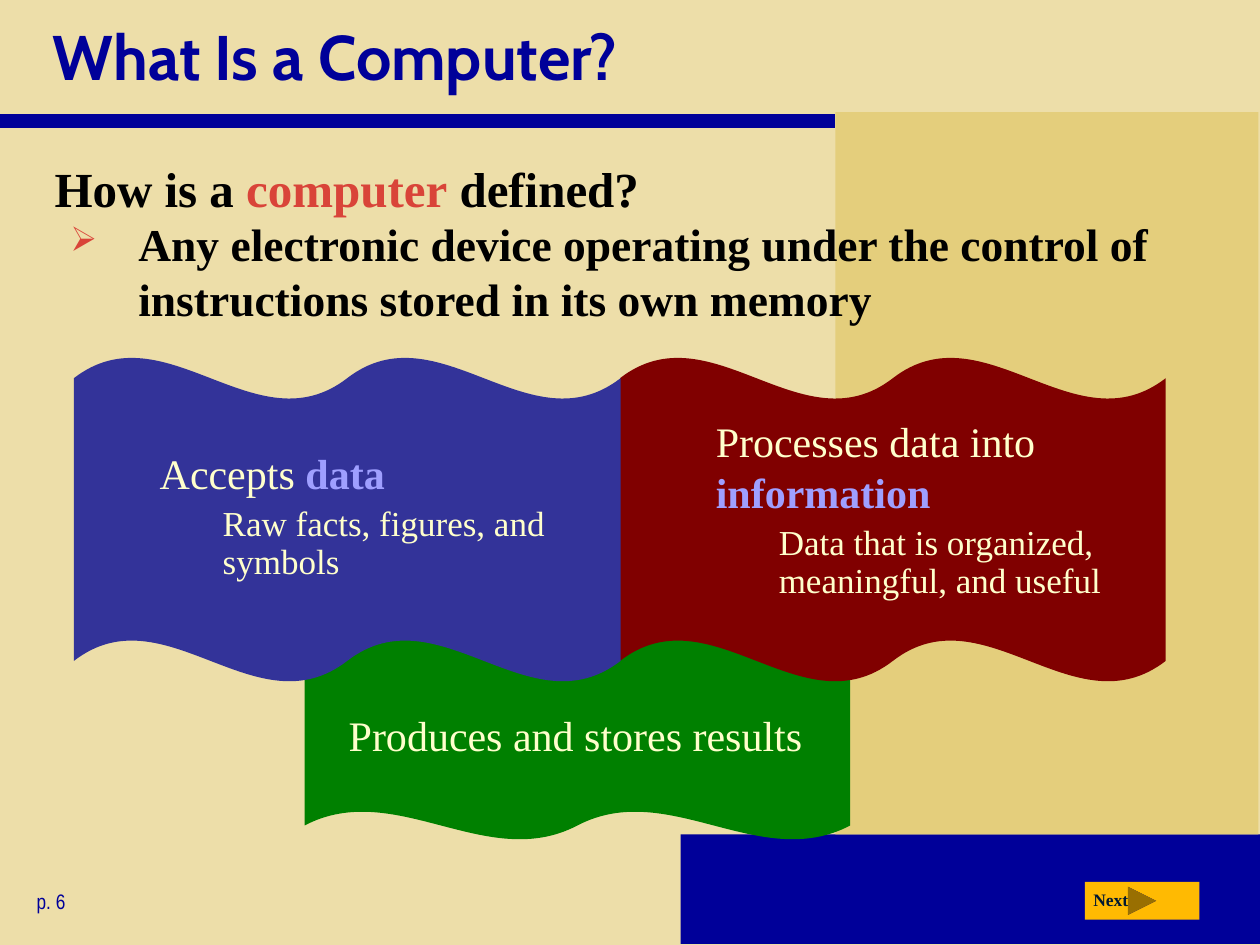
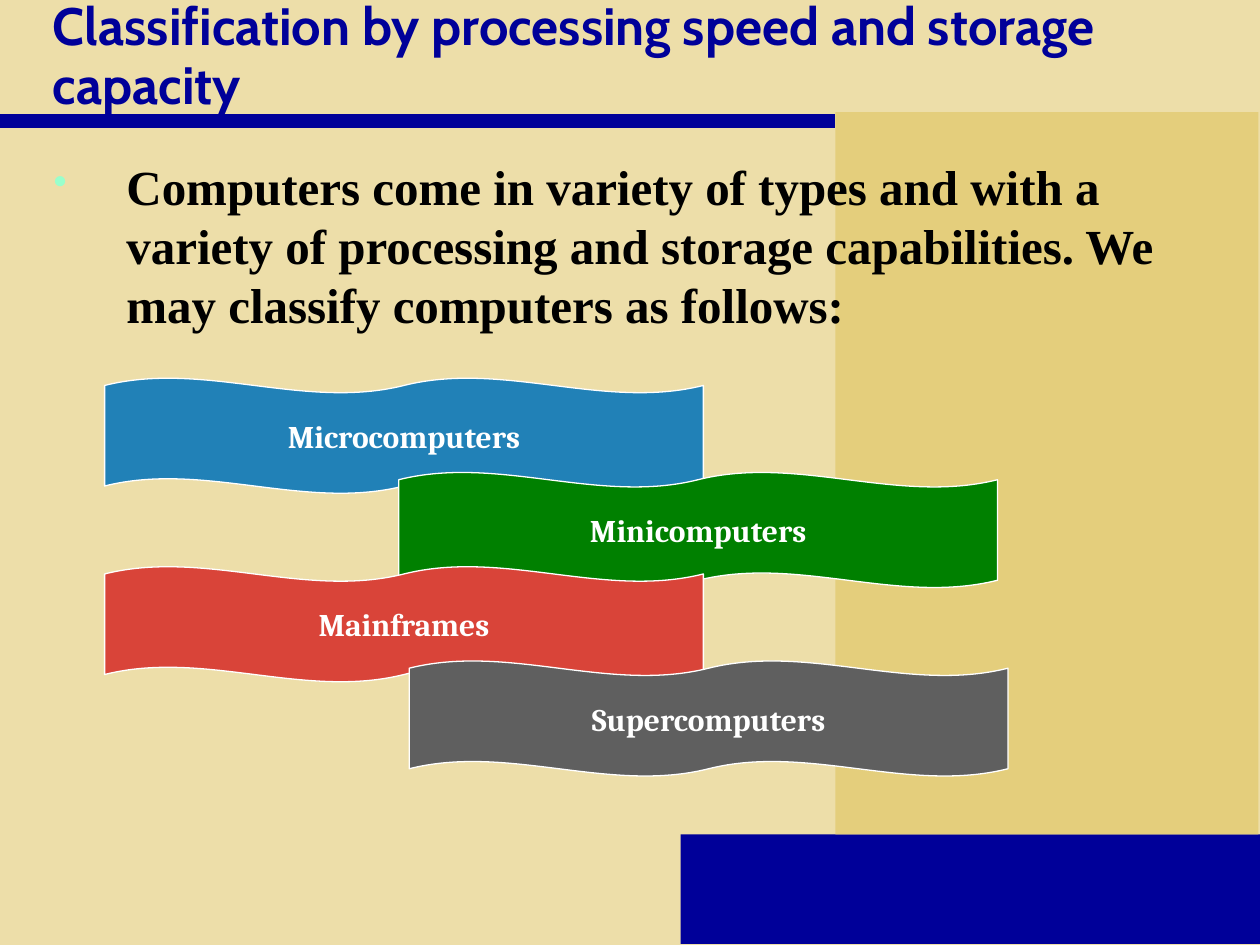
"""Build two slides on what a computer is and how computers are classified."""
from lxml import etree
from pptx import Presentation
from pptx.dml.color import RGBColor
from pptx.enum.shapes import MSO_CONNECTOR, MSO_SHAPE
from pptx.enum.text import MSO_ANCHOR, MSO_AUTO_SIZE, PP_ALIGN
from pptx.oxml.ns import qn
from pptx.util import Cm, Pt

RECT, WAVE = MSO_SHAPE.RECTANGLE, MSO_SHAPE.DOUBLE_WAVE
NEXT_BUTTON = MSO_SHAPE.ACTION_BUTTON_FORWARD_OR_NEXT
STRAIGHT = MSO_CONNECTOR.STRAIGHT
TOP, MIDDLE = MSO_ANCHOR.TOP, MSO_ANCHOR.MIDDLE
NO_FIT = MSO_AUTO_SIZE.NONE
LEFT, CENTER = PP_ALIGN.LEFT, PP_ALIGN.CENTER

C = {
    "sand": "EDDEA9", "gold": "E4CE7C", "navy": "000099", "black": "000000",
    "red": "D94439", "mint": "99FFCC", "green": "008000", "maroon": "800000",
    "indigo": "333399", "cream": "FFFFCC", "lilac": "9F9FFF", "amber": "FFBA02",
    "ink": "001932", "blue": "2181B7", "gray": "5F5F5F", "white": "FFFFFF",
}
SERIF = "Times New Roman"
QUESTION = {"name": SERIF, "size": Pt(28), "bold": True, "color": "black"}
DEFINITION = {**QUESTION, "size": Pt(26)}
STEP = {"name": SERIF, "size": Pt(24), "bold": False, "color": "cream"}
KEYWORD = {**STEP, "bold": True, "color": "lilac"}
DETAIL = {**STEP, "size": Pt(20)}
TITLE = {"name": "Cabin", "bold": True, "color": "navy"}
PAGE = {"name": "Arial Narrow", "size": Pt(12), "color": "navy"}
BUTTON = {"name": SERIF, "size": Pt(10), "bold": True, "color": "ink"}
KIND = {"name": "Cambria", "size": Pt(18), "bold": True, "color": "white"}
STEP_PARA = {"margin": 2.54}
DETAIL_PARA = {"margin": 3.81, "line_spacing": Pt(22), "space_before": Pt(4)}


def write(sp, paragraphs, anchor=TOP, wrap=True):
    tf = sp.text_frame
    frame = {"word_wrap": wrap, "auto_size": NO_FIT, "vertical_anchor": anchor}
    for name, value in frame.items():
        setattr(tf, name, value)
    for i, (layout, runs) in enumerate(paragraphs):
        p = tf.add_paragraph() if i else tf.paragraphs[0]
        layout = {"alignment": LEFT, **layout}
        pPr = p._p.get_or_add_pPr()
        pPr.set("marL", str(Cm(layout.pop("margin", 0))))
        pPr.set("indent", str(Cm(layout.pop("hang", 0))))
        char, color, percent = layout.pop("bullet", (None, None, None))
        if char:
            clr = etree.SubElement(pPr, qn("a:buClr"))
            etree.SubElement(clr, qn("a:srgbClr"), val=C[color])
            etree.SubElement(pPr, qn("a:buSzPct"), val=str(percent * 1000))
            etree.SubElement(pPr, qn("a:buChar"), char=char)
        for name, value in layout.items():
            setattr(p, name, value)
        for text, font in runs:
            r = p.add_run()
            r.text = text
            for name, value in font.items():
                if name == "color":
                    r.font.color.rgb = RGBColor.from_string(C[value])
                else:
                    setattr(r.font, name, value)


def add_filled(s, kind, box, fill, line=None):
    sp = s.shapes.add_shape(kind, *map(Cm, box))
    sp.shadow.inherit = False
    sp.fill.solid()
    sp.fill.fore_color.rgb = RGBColor.from_string(C[fill])
    if line:
        sp.line.color.rgb = RGBColor.from_string(C[line])
        sp.line.width = Pt(0.75)
    else:
        sp.line.fill.background()
    if kind == WAVE:
        sp.adjustments[0] = 0.065
    return sp


prs = Presentation()
prs.slide_width, prs.slide_height = Cm(25.4), Cm(19.05)
background = prs.slide_master.background.fill
background.solid()
background.fore_color.rgb = RGBColor.from_string(C["sand"])

titles = [
    ("What Is a Computer?", 36, 0, 2.24, 1.0),
    ("Classification by processing speed and storage capacity", 30, 0.05, 2.2, 0.94),
]
for text, size, top, height, spacing in titles:
    s = prs.slides.add_slide(prs.slide_layouts[5])
    add_filled(s, RECT, (13.72, 16.82, 11.68, 2.21), "navy")
    add_filled(s, RECT, (16.84, 2.26, 8.53, 14.56), "gold")
    rule = s.shapes.add_connector(STRAIGHT, 0, Cm(2.43), Cm(16.84), Cm(2.43))
    rule.line.color.rgb = RGBColor.from_string(C["navy"])
    rule.line.width = Pt(8)
    etree.SubElement(rule._element.spPr, qn("a:effectLst"))
    title = s.shapes.title
    title._element.getparent().append(title._element)
    title.left, title.top = Cm(0.81), Cm(top)
    title.width, title.height = Cm(23.85), Cm(height)
    title.text_frame.margin_top = title.text_frame.margin_bottom = 0
    font = {**TITLE, "size": Pt(size)}
    write(title, [({"line_spacing": spacing}, [(text, font)])], MIDDLE)

definition, classification = prs.slides

add_filled(definition, WAVE, (6.14, 12.5, 11, 4.43), "green")
add_filled(definition, NEXT_BUTTON, (21.87, 17.78, 2.31, 0.76), "amber")
add_filled(definition, WAVE, (12.5, 7.2, 11, 6.55), "maroon")
add_filled(definition, WAVE, (1.49, 7.2, 11.02, 6.55), "indigo")

bullet_para = {"margin": 1.7, "hang": -1.37, "bullet": ("➢", "red", 75)}
texts = [
    ((0.85, 3.07, 23.85, 1.6), [
        ({"margin": 1.47, "hang": -1.47}, [
            ("How is a ", QUESTION),
            ("computer", {**QUESTION, "color": "red"}),
            (" defined?", QUESTION)])]),
    ((0.84, 4.24, 23.85, 2.54), [
        (bullet_para, [("Any electronic device operating under the control of "
                        "instructions stored in its own memory", DEFINITION)])]),
    ((0.43, 8.89, 11.23, 3), [
        (STEP_PARA, [("Accepts ", STEP), ("data", KEYWORD)]),
        (DETAIL_PARA, [("Raw facts, figures, and symbols", DETAIL)])]),
    ((11.64, 8.26, 12.7, 4.01), [
        (STEP_PARA, [("Processes data into ", STEP), ("information", KEYWORD)]),
        (DETAIL_PARA, [("Data that is organized, meaningful, and useful", DETAIL)])]),
    ((4.24, 14.17, 13, 1.27), [
        (STEP_PARA, [("Produces and stores results", STEP)])]),
    ((0.49, 17.78, 4.29, 0.76), [({}, [("p. 6", PAGE)])]),
    ((21.79, 17.8, 1.3, 0.69), [({}, [("Next", BUTTON)])]),
]
for box, paragraphs in texts:
    write(definition.shapes.add_textbox(*map(Cm, box)), paragraphs)

intro = classification.shapes.add_textbox(Cm(0.83), Cm(3.04), Cm(23.85), Cm(4.2))
write(intro, [({"margin": 1.47, "hang": -1.47, "bullet": ("•", "mint", 80)}, [
    ("Computers come in variety of types and with a variety of processing and "
     "storage capabilities. We may classify computers as follows:", QUESTION)])])

kinds = [
    ("Microcomputers", 2.11, "blue"), ("Minicomputers", 8.04, "green"),
    ("Mainframes", 2.11, "red"), ("Supercomputers", 8.25, "gray"),
]
for i, (text, left, fill) in enumerate(kinds):
    box = (left, 7.62 + 1.9 * i, 12.07, 2.33)
    sp = add_filled(classification, WAVE, box, fill, "white")
    write(sp, [({"alignment": CENTER}, [(text, KIND)])], MIDDLE, wrap=False)

prs.save("out.pptx")
